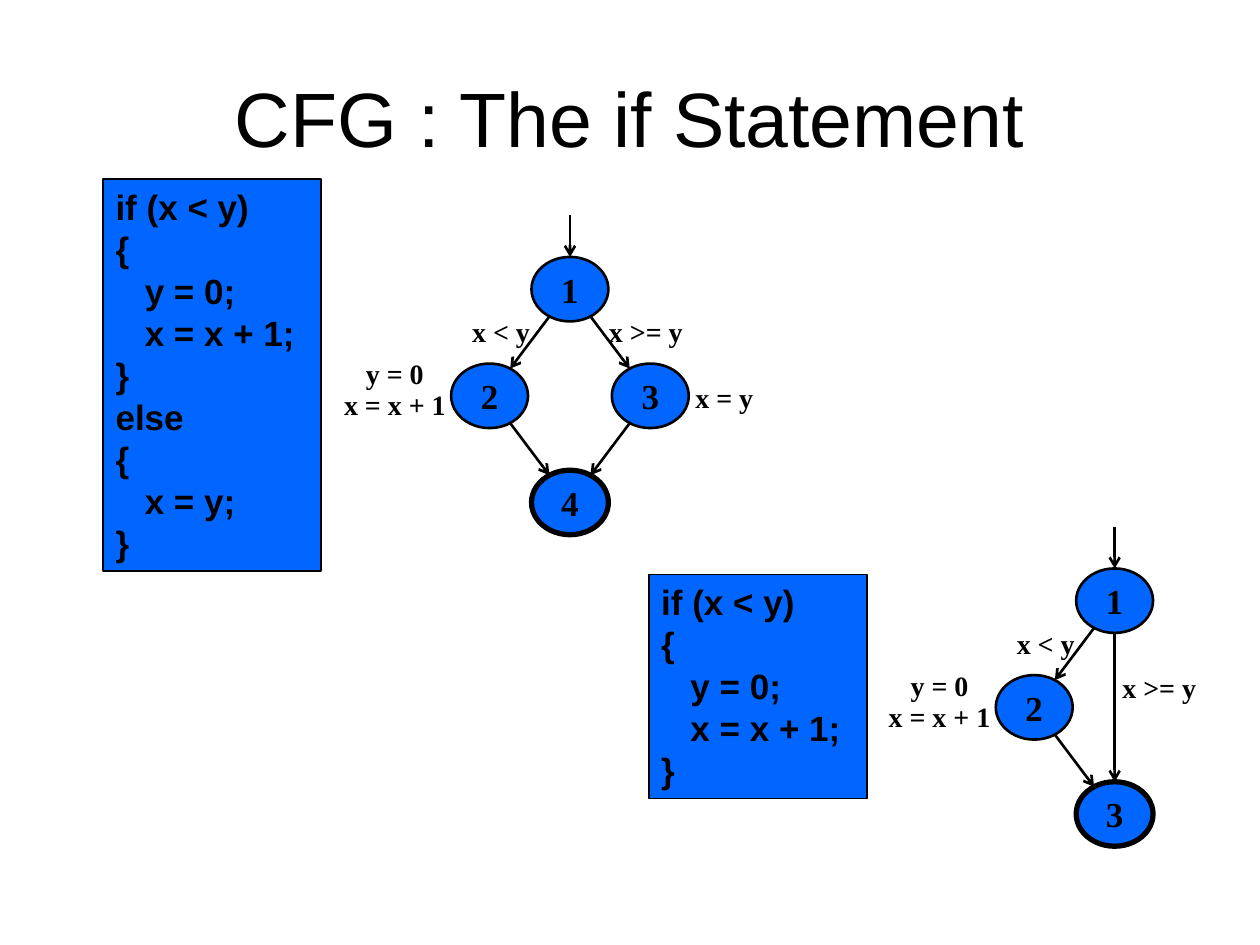
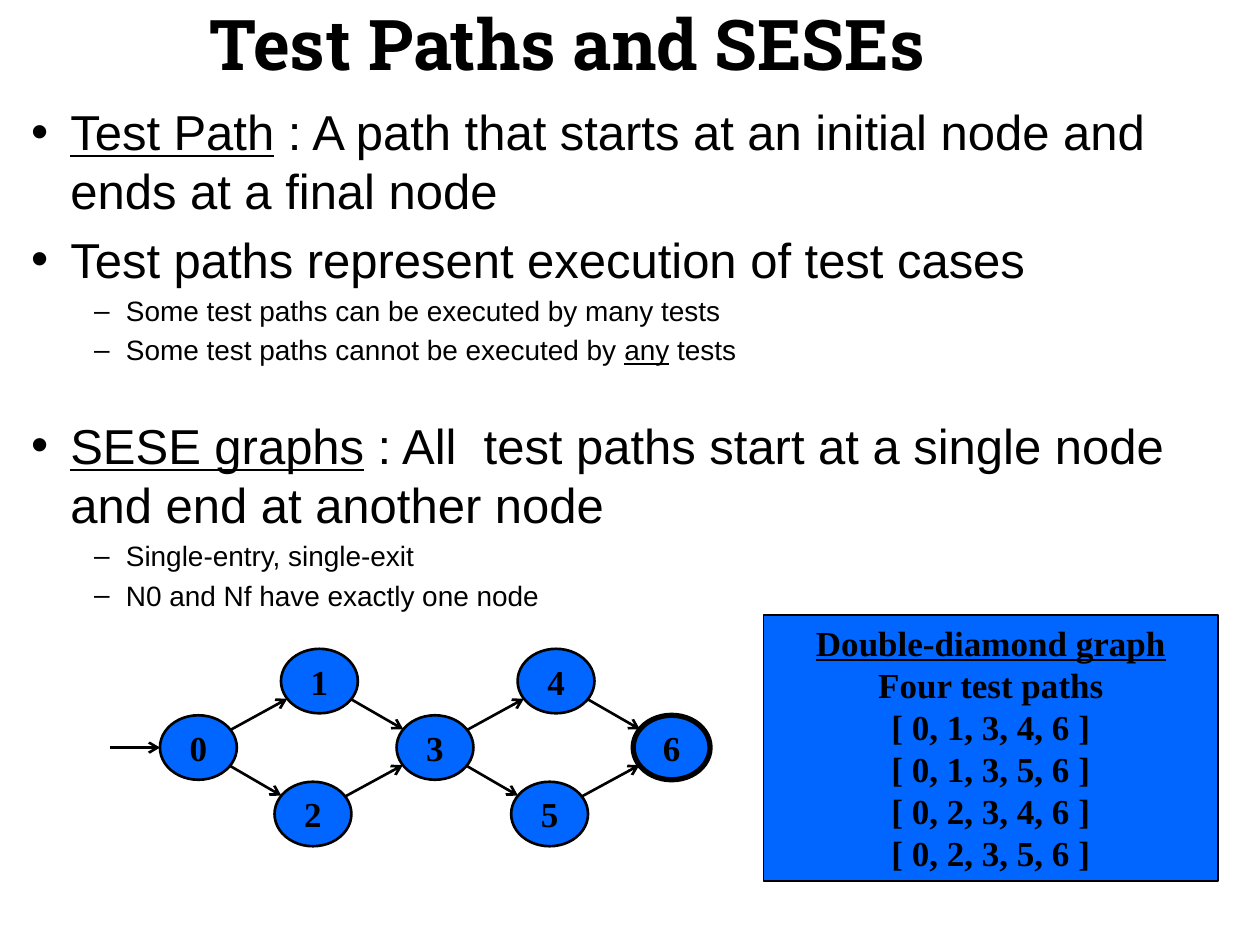
from dataclasses import dataclass
from math import hypot

from lxml.etree import SubElement
from pptx import Presentation
from pptx.dml.color import RGBColor
from pptx.enum.shapes import MSO_CONNECTOR, MSO_SHAPE
from pptx.enum.text import MSO_ANCHOR, PP_ALIGN
from pptx.oxml.ns import qn
from pptx.util import Cm, Pt


@dataclass(frozen=True)
class Theme:
    ink: RGBColor = RGBColor(0, 0, 0)
    fill: RGBColor = RGBColor(0x00, 0x66, 0xFF)
    sans: str = "Arial"
    serif: str = "Times New Roman"
    slab: str = "Roboto Slab"
    head: int = 44
    slim: int = 40
    body: int = 28
    code: int = 20
    note: int = 16
    thin: float = 1.5
    thick: float = 3


THEME = Theme()
NODE_W, NODE_H = 1.55, 1.3


# Shared text and shape helpers
def style(par, face, size, bold=False, align=PP_ALIGN.LEFT):
    par.alignment = align
    font = par.font
    font.name, font.size, font.bold = face, Pt(size), bold
    font.color.rgb = THEME.ink


def lines(frame, items):
    """Yield one paragraph for each item, reusing the first."""
    for i, item in enumerate(items):
        yield (frame.add_paragraph() if i else frame.paragraphs[0]), item


def hang(par, left, first=0, mark=None):
    props = par._p.get_or_add_pPr()
    props.set("marL", str(Cm(left)))
    props.set("indent", str(Cm(first)))
    if mark:
        SubElement(props, qn("a:buFont")).set("typeface", THEME.sans)
        SubElement(props, qn("a:buChar")).set("char", mark)


def textbox(shapes, left, top, width, height):
    frame = shapes.add_textbox(Cm(left), Cm(top), Cm(width), Cm(height)).text_frame
    frame.word_wrap = True
    return frame


def solid(shapes, kind, left, top, width, height, line):
    shape = shapes.add_shape(kind, Cm(left), Cm(top), Cm(width), Cm(height))
    shape.shadow.inherit = False
    shape.fill.solid()
    shape.fill.fore_color.rgb = THEME.fill
    shape.line.color.rgb = THEME.ink
    shape.line.width = Pt(line)
    return shape


def title(slide, text, left, top, width, height, face, size, bold=False):
    frame = textbox(slide.shapes, left, top, width, height)
    frame.vertical_anchor = MSO_ANCHOR.MIDDLE
    par = frame.paragraphs[0]
    par.text = text
    style(par, face, size, bold, PP_ALIGN.CENTER)


def panel(slide, left, top, width, height):
    frame = solid(slide.shapes, MSO_SHAPE.RECTANGLE, left, top, width, height, 1).text_frame
    frame.vertical_anchor = MSO_ANCHOR.TOP
    return frame


# Code listing: a leading tab marks an indented line
def code(slide, left, top, width, height, rows):
    for par, row in lines(panel(slide, left, top, width, height), rows):
        par.text = row.strip()
        style(par, THEME.sans, THEME.code, True)
        if row.startswith("\t"):
            hang(par, 0.59)


# Graph parts
def arrow(shapes, start, end):
    line = shapes.add_connector(MSO_CONNECTOR.STRAIGHT, *map(Cm, start + end))
    line.line.color.rgb = THEME.ink
    line.line.width = Pt(THEME.thin)
    SubElement(line.line._get_or_add_ln(), qn("a:tailEnd")).set("type", "arrow")
    SubElement(line._element.spPr, qn("a:effectLst"))


def edge(shapes, start, end):
    """Join two node centres, cut where the line meets each ellipse."""
    dx, dy = end[0] - start[0], end[1] - start[1]
    cut = 1 / hypot(dx / (NODE_W / 2), dy / (NODE_H / 2))
    arrow(shapes, (start[0] + cut * dx, start[1] + cut * dy),
          (end[0] - cut * dx, end[1] - cut * dy))


def node(shapes, name, x, y, last):
    shape = solid(shapes, MSO_SHAPE.OVAL, x - NODE_W / 2, y - NODE_H / 2,
                  NODE_W, NODE_H, THEME.thick if last else THEME.thin)
    frame = shape.text_frame
    frame.word_wrap = False
    frame.margin_left = frame.margin_right = frame.margin_top = frame.margin_bottom = 0
    frame.paragraphs[0].text = name
    style(frame.paragraphs[0], THEME.serif, THEME.code, True, PP_ALIGN.CENTER)


def label(shapes, rows, left, top, width, height):
    frame = textbox(shapes, left, top, width, height)
    frame.margin_left = frame.margin_right = 0
    for par, row in lines(frame, rows):
        par.text = row
        style(par, THEME.serif, THEME.note, True, PP_ALIGN.CENTER)
        par.space_before = Pt(THEME.note / 2)
        if len(rows) > 1:
            par.line_spacing = 0.5


def graph(slide, left, top, nodes, edges, entry):
    """Draw nodes, edges and entry arrow; the last node is final."""
    shapes = slide.shapes.add_group_shape().shapes
    spots = {name: (left + x, top + y) for name, (x, y) in nodes.items()}
    names = list(spots)
    for name, (x, y) in spots.items():
        node(shapes, name, x, y, name == names[-1])
    for start, end in edges.split():
        edge(shapes, spots[start], spots[end])
    x, y = spots[names[0]]
    if entry == "top":
        arrow(shapes, (x, top), (x, y - NODE_H / 2))
    else:
        arrow(shapes, (left, y), (x - NODE_W / 2, y))
    return shapes


def branch(slide, left, top, full):
    """Control flow of an if statement, with or without else."""
    mid, side, head, step = 4.84, 1.62, 1.49, 2.15
    nodes = {"1": (mid, head), "2": (mid - side, head + step)}
    if full:
        nodes["3"] = (mid + side, head + step)
    nodes["4" if full else "3"] = (mid, head + 2 * step)
    shapes = graph(slide, left, top, nodes, "12 13 24 34" if full else "12 13 23", "top")
    tags = [("x < y", 2.41, 1.88)]
    if full:
        tags += [("x >= y", 5.33, 1.88), ("x = y", 6.91, 3.2)]
    else:
        tags += [("x >= y", 4.7, 2.77)]
    for text, x, y in tags:
        label(shapes, [text], left + x, top + y, 2.08, 0.94)
    label(shapes, ["y = 0", "x = x + 1"], left, top + 3.02, 2.62, 1.27)


def diamonds(slide, left, top):
    """Two diamonds in a row that share their middle node."""
    span, mid, gap = 4.77, 1.99, 1.34
    nodes = {}
    for i, (hub, high, low) in enumerate(("012", "345")):
        x = 1.79 + i * span
        nodes |= {hub: (x, mid), high: (x + 2.44, mid - gap), low: (x + 2.31, mid + gap)}
    nodes["6"] = (1.79 + 2 * span, mid)
    graph(slide, left, top, nodes, "01 02 13 23 34 35 46 56", "left")


# Bullet text: rows hold level, space before, and (text, underlined) runs
def bullets(slide, left, top, width, height, rows):
    looks = [(THEME.body, 0.79, -0.79, "•"), (THEME.note, 1.91, -0.64, "–")]
    for par, (level, space, runs) in lines(textbox(slide.shapes, left, top, width, height), rows):
        size, *dent = looks[level]
        style(par, THEME.sans, size)
        par.level = level
        par.space_before = Pt(space)
        hang(par, *dent)
        for text, under in runs:
            run = par.add_run()
            run.text = text
            if under:
                run.font.underline = True


def paths(slide, left, top, width, height):
    rows = ["Double-diamond graph", "Four test paths"]
    rows += [f"[ 0, {a}, 3, {b}, 6 ]" for a in (1, 2) for b in (4, 5)]
    for par, row in lines(panel(slide, left, top, width, height), rows):
        par.text = row
        style(par, THEME.serif, THEME.code, True, PP_ALIGN.CENTER)
        par.font.underline = row == rows[0]


deck = Presentation()
deck.slide_width, deck.slide_height = Cm(25.4), Cm(19.05)
blank = deck.slide_layouts[6]

# Slide 1: the if statement
slide = deck.slides.add_slide(blank)
title(slide, "CFG : The if Statement", 1.27, 0.76, 22.86, 3.18, THEME.sans, THEME.head)
short = ["if (x < y)", "{", "\ty = 0;", "\tx = x + 1;", "}"]
code(slide, 2.08, 3.61, 4.4, 7.9, short + ["else", "{", "\tx = y;", "}"])
branch(slide, 6.65, 4.34, True)
code(slide, 13.08, 11.58, 4.4, 4.52, short)
branch(slide, 17.63, 10.62, False)

# Slide 2: test paths
slide = deck.slides.add_slide(blank)
title(slide, "Test Paths and SESEs", 0, 0, 22.86, 1.7, THEME.slab, THEME.slim, True)
bullets(slide, 0.38, 1.93, 24.64, 14.71, [
    (0, 5.6, [("Test Path", True),
              (" : A path that starts at an initial node and ends at a final node", False)]),
    (0, 5.6, [("Test paths represent execution of test cases", False)]),
    (1, 3.2, [("Some test paths can be executed by many tests", False)]),
    (1, 3.2, [("Some test paths cannot be executed by ", False), ("any", True),
              (" tests", False)]),
    (0, 28, [("SESE graphs", True),
             (" : All  test paths start at a single node and end at another node", False)]),
    (1, 3.2, [("Single-entry, single-exit", False)]),
    (1, 3.2, [("N0 and Nf have exactly one node", False)]),
])
diamonds(slide, 2.21, 13.08)
paths(slide, 15.39, 12.4, 9.17, 5.36)

deck.save("out.pptx")
